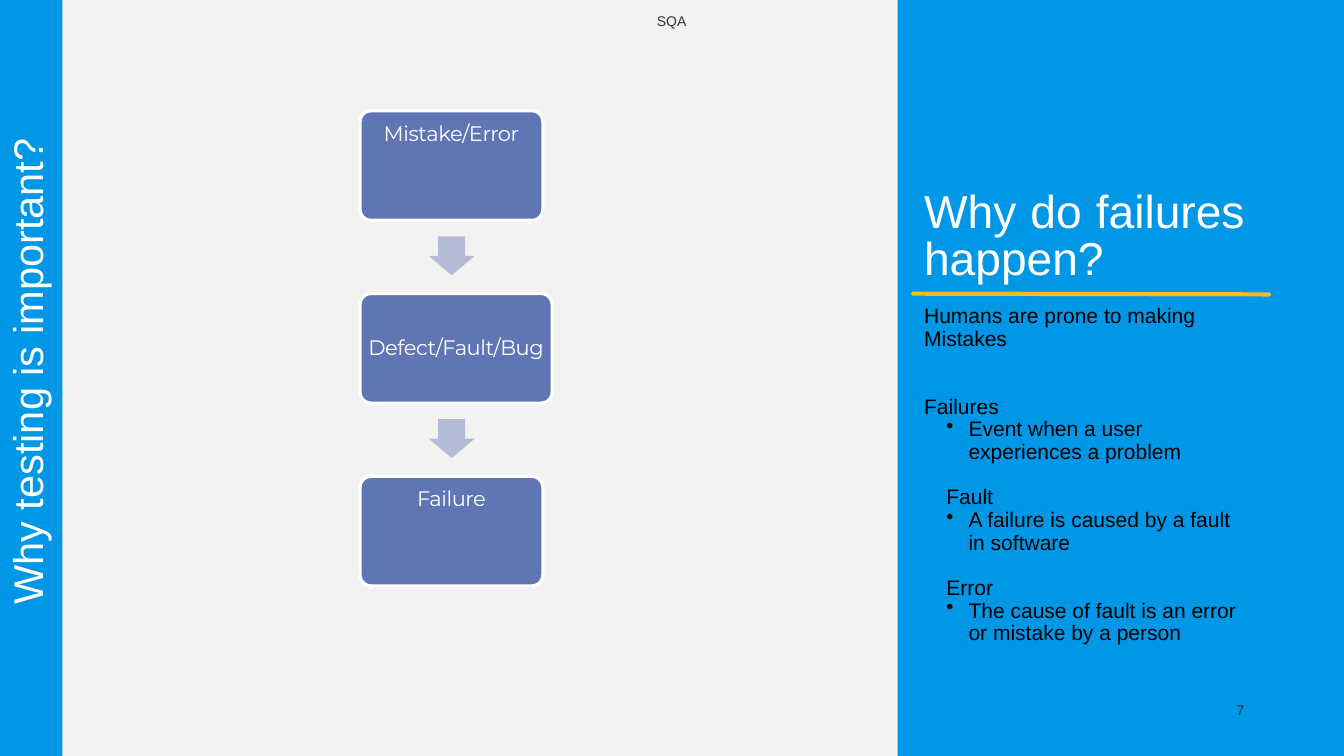
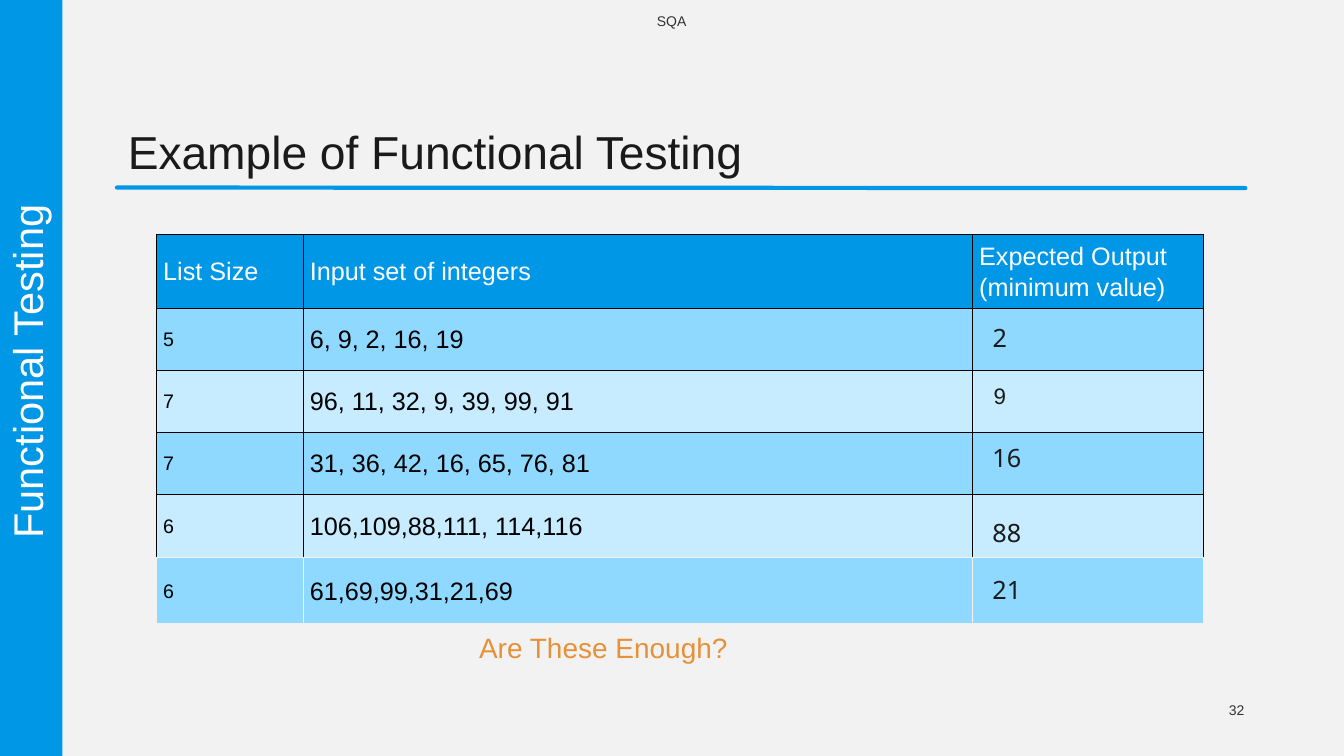
from dataclasses import dataclass
from typing import NamedTuple

from lxml.etree import SubElement
from pptx import Presentation
from pptx.dml.color import RGBColor
from pptx.enum.shapes import MSO_CONNECTOR as Connector, MSO_SHAPE as Shape
from pptx.enum.text import MSO_ANCHOR as Anchor, PP_ALIGN as Align
from pptx.oxml import parse_xml
from pptx.oxml.ns import nsdecls, qn
from pptx.util import Cm, Pt

PAGE_WIDTH, PAGE_HEIGHT = 50.8, 28.58
BAND_WIDTH = 2.36
BLUE, PAPER, WHITE, BLACK = "0097E6", "F2F2F2", "FFFFFF", "000000"
INK, GREY, YELLOW, ORANGE = "1A1A1A", "333333", "FDB823", "E69138"
STEP_FILL, ARROW_FILL = "6076B4", "B4BBD6"
ROW_FILLS = ("8FD8FF", "C7EBFF")


class Box(NamedTuple):
    """A rectangle in centimetres."""
    left: float
    top: float
    width: float
    height: float

    def lengths(self):
        return [Cm(value) for value in self]


class Edge(NamedTuple):
    color: str
    points: float


@dataclass
class Line:
    text: str
    gap: float = 0
    hanging: bool = False
    bullet: bool = False


@dataclass
class Step:
    label: str
    width: float = 6.91
    anchor: Anchor = Anchor.TOP


@dataclass
class Case:
    size: str
    integers: str
    expected: str
    height: float
    answer_top: float
    font: str = "Noto Sans"
    answer_size: float = 27


STEPS = [
    Step("Mistake/Error"),
    Step("Defect/Fault/Bug", width=7.26, anchor=Anchor.MIDDLE),
    Step("Failure"),
]
STEP_LEFT, STEP_TOP, STEP_HEIGHT, STEP_PITCH = 13.61, 4.19, 4.14, 6.91

REASONS = [
    Line("Humans are prone to making Mistakes"),
    Line("Failures", gap=48.6),
    Line("Event when a user experiences a problem", hanging=True, bullet=True),
    Line("Fault", gap=24.3, hanging=True),
    Line("A failure is caused by a fault in software", hanging=True, bullet=True),
    Line("Error", gap=24.3, hanging=True),
    Line("The cause of fault is an error or mistake by a person", hanging=True, bullet=True),
]

HEADINGS = ("List Size", "Input set of integers", "Expected Output (minimum value)")
COLUMN_WIDTHS = (5.54, 25.3, 8.71)
HEADING_HEIGHT = 2.76
CASES = [
    Case("5", "6, 9, 2, 16, 19", "2", 2.34, 12.09),
    Case("7", "96, 11, 32, 9, 39, 99, 91", "9", 2.34, 14.3, "Arial", 24),
    Case("7", "31, 36, 42, 16, 65, 76, 81", "16", 2.34, 16.64),
    Case("6", "106,109,88,111, 114,116", "88", 2.39, 19.46),
    Case("6", "61,69,99,31,21,69", "21", 2.54, 21.62),
]


def rgb(value: str) -> RGBColor:
    return RGBColor.from_string(value)


def paint(target, color: str) -> None:
    target.fill.solid()
    target.fill.fore_color.rgb = rgb(color)


def write(frame, content, *, size: float, color: str, spacing: float, font: str = "Arial",
          align=Align.LEFT, anchor=Anchor.TOP, inset=(0, 0), tracking: int = 0) -> None:
    """Fill a text frame with a string or a list of Lines; inset is (sides, top and bottom)."""
    frame.word_wrap = True
    frame.vertical_anchor = anchor
    frame.margin_left = frame.margin_right = Cm(inset[0])
    frame.margin_top = frame.margin_bottom = Cm(inset[1])
    lines = [Line(content)] if isinstance(content, str) else content
    for index, line in enumerate(lines):
        paragraph = frame.paragraphs[0] if index == 0 else frame.add_paragraph()
        paragraph.alignment = align
        paragraph.line_spacing = Pt(spacing)
        if line.gap:
            paragraph.space_before = Pt(line.gap)
        properties = paragraph._p.get_or_add_pPr()
        if line.hanging:
            properties.set("marL", str(Cm(1.68)))
            properties.set("indent", str(-Cm(0.84)))
        if line.bullet:
            SubElement(properties, qn("a:buChar")).set("char", "•")
        run = paragraph.add_run()
        run.text = line.text
        run.font.size = Pt(size)
        run.font.name = font
        run.font.color.rgb = rgb(color)
        if tracking:
            run._r.get_or_add_rPr().set("spc", str(tracking))


def add_text(slide, box: Box, content, **text_format):
    label = slide.shapes.add_textbox(*box.lengths())
    write(label.text_frame, content, **text_format)
    return label


def add_block(slide, box: Box, fill: str, kind=Shape.RECTANGLE):
    block = slide.shapes.add_shape(kind, *box.lengths())
    block.shadow.inherit = False
    paint(block, fill)
    block.line.fill.background()
    return block


def add_rule(slide, start: tuple, end: tuple, color: str) -> None:
    rule = slide.shapes.add_connector(
        Connector.STRAIGHT, *(Cm(value) for value in (*start, *end)))
    rule.line.color.rgb = rgb(color)
    rule.line.width = Pt(4.5)
    rule.line._get_or_add_ln().set("cap", "rnd")
    SubElement(rule._element.spPr, qn("a:effectLst"))


def add_title(slide, box: Box, title: str, color: str) -> None:
    add_text(slide, box, title, size=49.5, color=color, spacing=50.5, align=Align.JUSTIFY)


def add_page(deck, section: str, number: int):
    """Add a slide with the section band, running head and page number."""
    slide = deck.slides.add_slide(deck.slide_layouts[6])
    paint(slide.background, PAPER)
    if number == 7:
        panel_left = 33.93
        add_block(slide, Box(panel_left, 0, PAGE_WIDTH - panel_left, PAGE_HEIGHT), BLUE)
    add_block(slide, Box(0, 0, BAND_WIDTH, PAGE_HEIGHT), BLUE)
    section_title = add_text(slide, Box(-11.4, 13.21, 25.17, 1.68), section, size=44.5,
                             color=WHITE, spacing=45.4, align=Align.CENTER)
    section_title.rotation = 270
    small = dict(size=15, color=GREY, spacing=18)
    add_text(slide, Box(17.07, 0.46, 16.64, 1.37), "SQA", align=Align.CENTER, **small)
    add_text(slide, Box(36.12, 26.52, 10.92, 1.37), str(number), align=Align.RIGHT, **small)
    return slide


def add_step(slide, step: Step, top: float) -> None:
    card = add_block(slide, Box(STEP_LEFT, top, step.width, STEP_HEIGHT), STEP_FILL,
                     Shape.ROUNDED_RECTANGLE)
    card.adjustments[0] = 0.1
    card.line.color.rgb = rgb(WHITE)
    card.line.width = Pt(3.4)
    write(card.text_frame, step.label, size=22.5, color=WHITE, spacing=24.3,
          font="Montserrat", align=Align.CENTER, anchor=step.anchor, inset=(0.1, 0.33),
          tracking=-50)


def add_down_arrow(slide, top: float) -> None:
    arrow = add_block(slide, Box(16.21, top, 1.73, 1.47), ARROW_FILL, Shape.DOWN_ARROW)
    arrow.adjustments[0] = 0.59
    arrow.adjustments[1] = 0.5


def set_borders(cell, edges: dict[str, Edge]) -> None:
    """Draw cell edges given in the order L, R, T, B; call after the cell is filled."""
    properties = cell._tc.get_or_add_tcPr()
    for position, (side, edge) in enumerate(edges.items()):
        properties.insert(position, parse_xml(
            f'<a:ln{side} {nsdecls("a")} w="{Pt(edge.points)}"><a:solidFill>'
            f'<a:srgbClr val="{edge.color}"/></a:solidFill></a:ln{side}>'))


def row_edges(row: int) -> dict[str, Edge]:
    thin, pale = Edge(BLACK, 0.37), Edge(PAPER, 1)
    last = len(CASES)
    if row == last:
        return {**dict.fromkeys("LRT", pale), "B": Edge(PAPER, 3)}
    return {**dict.fromkeys("LRT", thin), "B": pale if row == last - 1 else thin}


def add_case_table(slide) -> None:
    heights = [HEADING_HEIGHT] + [case.height for case in CASES]
    rows = [HEADINGS] + [(case.size, case.integers, "") for case in CASES]
    box = Box(5.92, 8.86, sum(COLUMN_WIDTHS), sum(heights))
    table = slide.shapes.add_table(len(rows), len(HEADINGS), *box.lengths()).table
    for column, width in zip(table.columns, COLUMN_WIDTHS):
        column.width = Cm(width)
    for row, (height, texts) in enumerate(zip(heights, rows)):
        table.rows[row].height = Cm(height)
        for column, text in enumerate(texts):
            cell = table.cell(row, column)
            paint(cell, ROW_FILLS[(row - 1) % 2] if row else BLUE)
            set_borders(cell, row_edges(row))
            if not text:
                continue
            size = 21 if row and column == 0 else 27
            write(cell.text_frame, text, size=size, color=BLACK if row else WHITE,
                  spacing=size * 1.2)
            cell.vertical_anchor = Anchor.MIDDLE
            cell.margin_left = cell.margin_right = Cm(0.25)
            cell.margin_top = cell.margin_bottom = Cm(0.25)


def add_answers(slide) -> None:
    for index, case in enumerate(CASES):
        width = 1.37 if len(case.expected) == 1 else 1.9
        answer = add_block(slide, Box(37.11, case.answer_top, width, 1.3), ROW_FILLS[index % 2])
        write(answer.text_frame, case.expected, size=case.answer_size, color=INK,
              spacing=case.answer_size * 1.2, font=case.font, align=Align.CENTER,
              anchor=Anchor.MIDDLE, inset=(0.15, 0.15))


def build_failures(deck) -> None:
    slide = add_page(deck, "Why testing is important?", 7)
    add_title(slide, Box(34.93, 7.21, 12.12, 3.91), "Why do failures happen?", WHITE)
    add_rule(slide, (34.52, 11.1), (47.96, 11.13), YELLOW)
    add_text(slide, Box(34.93, 11.53, 12.12, 13.87), REASONS, size=22.5, color=BLACK,
             spacing=24.3)
    for index, step in enumerate(STEPS):
        top = STEP_TOP + index * STEP_PITCH
        add_step(slide, step, top)
        if index < len(STEPS) - 1:
            add_down_arrow(slide, top + 4.75)


def build_functional_example(deck) -> None:
    slide = add_page(deck, "Functional Testing", 32)
    add_title(slide, Box(4.83, 4.98, 41.4, 2.13), "Example of Functional Testing", INK)
    add_rule(slide, (4.42, 7.09), (47.07, 7.11), BLUE)
    add_case_table(slide)
    add_answers(slide)
    add_text(slide, Box(18.11, 24.08, 10.69, 1.27), "Are These Enough?", size=30,
             color=ORANGE, spacing=29.2)


def main() -> None:
    deck = Presentation()
    deck.slide_width, deck.slide_height = Cm(PAGE_WIDTH), Cm(PAGE_HEIGHT)
    build_failures(deck)
    build_functional_example(deck)
    deck.save("out.pptx")


if __name__ == "__main__":
    main()
